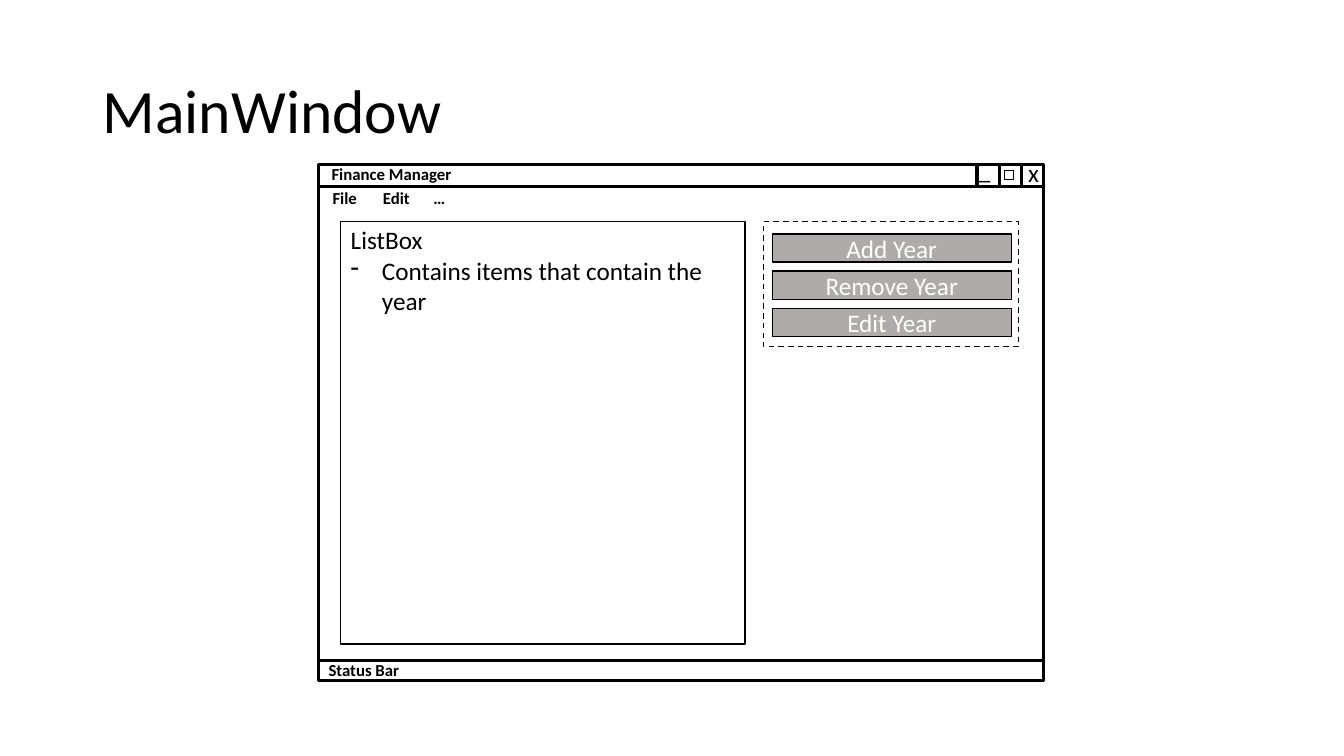
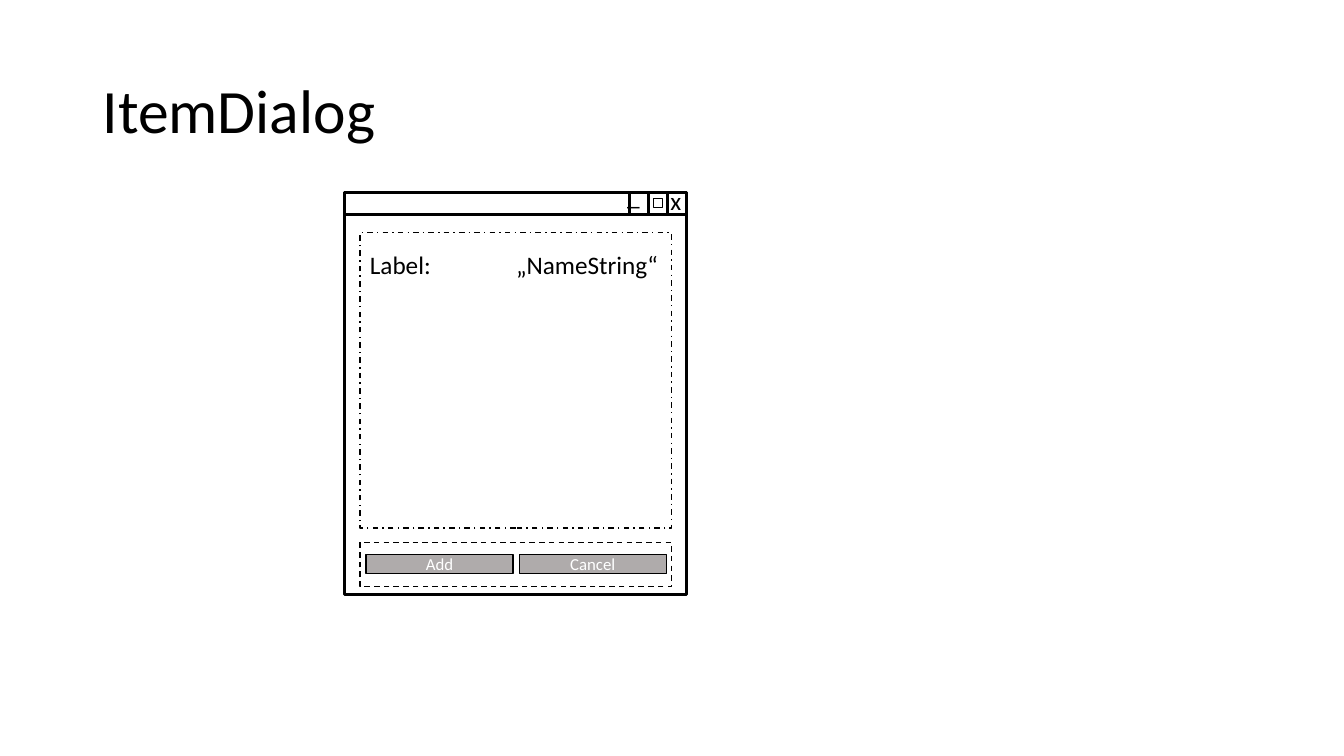
import dataclasses

import lxml.etree
import pptx
import pptx.dml.color
import pptx.enum.dml
import pptx.enum.shapes
import pptx.enum.text
import pptx.oxml.ns
import pptx.util

Inches = pptx.util.Inches
Align = pptx.enum.text.PP_ALIGN
Anchor = pptx.enum.text.MSO_ANCHOR
Dash = pptx.enum.dml.MSO_LINE


@dataclasses.dataclass(frozen=True)
class Theme:
    font: str = "Calibri"
    ink: str = "000000"
    paper: str = "FFFFFF"
    gray: str = "AFABAB"
    title: int = 44
    body: int = 18
    small: int = 12
    thin: float = 1
    thick: float = 2.25
    bar: float = 0.22  # height of a window's title bar


THEME = Theme()


def color(code):
    return pptx.dml.color.RGBColor.from_string(code)


def write(frame, lines, size, ink=THEME.ink, bold=False, align=Align.LEFT):
    """Fill a text frame, one paragraph per line."""
    frame.text = "\n".join(lines)
    for para in frame.paragraphs:
        para.alignment = align
        para.font.name = THEME.font
        para.font.size = pptx.util.Pt(size)
        para.font.bold = bold
        para.font.color.rgb = color(ink)


def box(shapes, left, top, width, height, line=THEME.thin, fill=None, dash=None):
    """Draw a framed rectangle, hollow unless a fill is given."""
    rect = shapes.add_shape(
        pptx.enum.shapes.MSO_SHAPE.RECTANGLE,
        Inches(left), Inches(top), Inches(width), Inches(height))
    rect.shadow.inherit = False
    if fill:
        rect.fill.solid()
        rect.fill.fore_color.rgb = color(fill)
    else:
        rect.fill.background()
    rect.line.color.rgb = color(THEME.ink)
    rect.line.width = pptx.util.Pt(line)
    if dash:
        rect.line.dash_style = dash
    return rect


def label(shapes, left, top, width, height, lines, size=THEME.body,
          bold=False, wrap=True):
    """Place free text in a box that grows with it."""
    text = shapes.add_textbox(
        Inches(left), Inches(top), Inches(width), Inches(height))
    frame = text.text_frame
    frame.word_wrap = wrap
    frame.auto_size = pptx.enum.text.MSO_AUTO_SIZE.SHAPE_TO_FIT_TEXT
    write(frame, lines, size, bold=bold)
    return frame


def button(shapes, left, top, width, height, text, size):
    rect = box(shapes, left, top, width, height, fill=THEME.gray)
    rect.text_frame.vertical_anchor = Anchor.MIDDLE
    write(rect.text_frame, [text], size, THEME.paper, align=Align.CENTER)


def bullet(para, mark, indent):
    """Give a paragraph a hanging mark."""
    props = para._p.get_or_add_pPr()
    props.set("marL", str(Inches(indent)))
    props.set("indent", str(-Inches(indent)))
    char = lxml.etree.Element(pptx.oxml.ns.qn("a:buChar"), char=mark)
    props.insert(0, char)


def window(shapes, left, top, width, height, key, cross, dash):
    """Draw a window; key is the width of a corner button,
    cross and dash are the offsets of the marks in their buttons."""
    box(shapes, left, top + THEME.bar, width, height - THEME.bar, THEME.thick)
    box(shapes, left, top, width, THEME.bar, THEME.thick)
    close, zoom, hide = [left + width - n * key for n in (1, 2, 3)]
    for edge in (close, zoom, hide):
        box(shapes, edge, top, key, THEME.bar, THEME.thick)
    label(shapes, close + cross[0], top + cross[1], 0.8, 0.4, ["x"])
    label(shapes, hide + dash[0], top + dash[1], 0.07, 0.4, ["_"])
    box(shapes, zoom + 0.05, top + 0.06, 0.09, 0.09)


def page(deck, title):
    """Add a blank slide with the shared title."""
    shapes = deck.slides.add_slide(deck.slide_layouts[6]).shapes
    head = shapes.add_textbox(Inches(0.92), Inches(0.4), Inches(11.5), Inches(1.45))
    frame = head.text_frame
    frame.word_wrap = True
    frame.vertical_anchor = Anchor.MIDDLE
    write(frame, [title], THEME.title)
    frame.paragraphs[0].line_spacing = 0.9
    return shapes


def main_window(deck):
    shapes = page(deck, "MainWindow")
    left, top, width, height = 3.16, 1.63, 7.19, 5.12
    window(shapes, left, top, width, height, 0.22, (-0.03, -0.12), (0.01, -0.15))

    # List of years
    box(shapes, 3.38, 2.2, 4.01, 4.19)
    frame = label(shapes, 3.38, 2.18, 4.01, 1.01,
                  ["ListBox", "Contains items that contain the year"])
    bullet(frame.paragraphs[1], "-", 0.31)

    # Year buttons
    panel = shapes.add_group_shape().shapes
    box(panel, 7.57, 2.2, 2.53, 1.24, dash=Dash.DASH)
    for row, text in enumerate(("Add Year", "Remove Year", "Edit Year")):
        button(panel, 7.66, 2.32 + row * 0.37, 2.37, 0.28, text, THEME.body)

    # Menu, caption and status bar
    label(shapes, 3.2, 1.81, 3.23, 0.3, ["File\tEdit\t…\t"],
          THEME.small, bold=True, wrap=False)
    label(shapes, 3.19, 1.58, 1.4, 0.3, ["Finance Manager"],
          THEME.small, bold=True, wrap=False)
    status = box(shapes, left, top + height - 0.2, width, 0.2, THEME.thick)
    status.text_frame.vertical_anchor = Anchor.MIDDLE
    write(status.text_frame, ["Status Bar"], THEME.small, bold=True)


def item_dialog(deck):
    shapes = page(deck, "ItemDialog")
    window(shapes, 3.42, 1.91, 3.39, 3.99, 0.19, (-0.07, -0.12), (-0.02, -0.17))

    # Dialog buttons
    left, width = 3.57, 3.09
    box(shapes, left, 5.38, width, 0.44, dash=Dash.DASH)
    for col, text in enumerate(("Add", "Cancel")):
        button(shapes, 3.63 + col * 1.52, 5.5, 1.46, 0.19, text, THEME.small)

    # Item fields
    box(shapes, left, 2.31, width, 2.93, dash=Dash.DASH_DOT)
    label(shapes, left, 2.42, 1.45, 0.4, ["Label:"])
    label(shapes, left + 1.45, 2.42, 1.64, 0.4, ["„NameString“"])


def main():
    deck = pptx.Presentation()
    deck.slide_width, deck.slide_height = Inches(13.33), Inches(7.5)
    main_window(deck)
    item_dialog(deck)
    deck.save("out.pptx")


if __name__ == "__main__":
    main()
